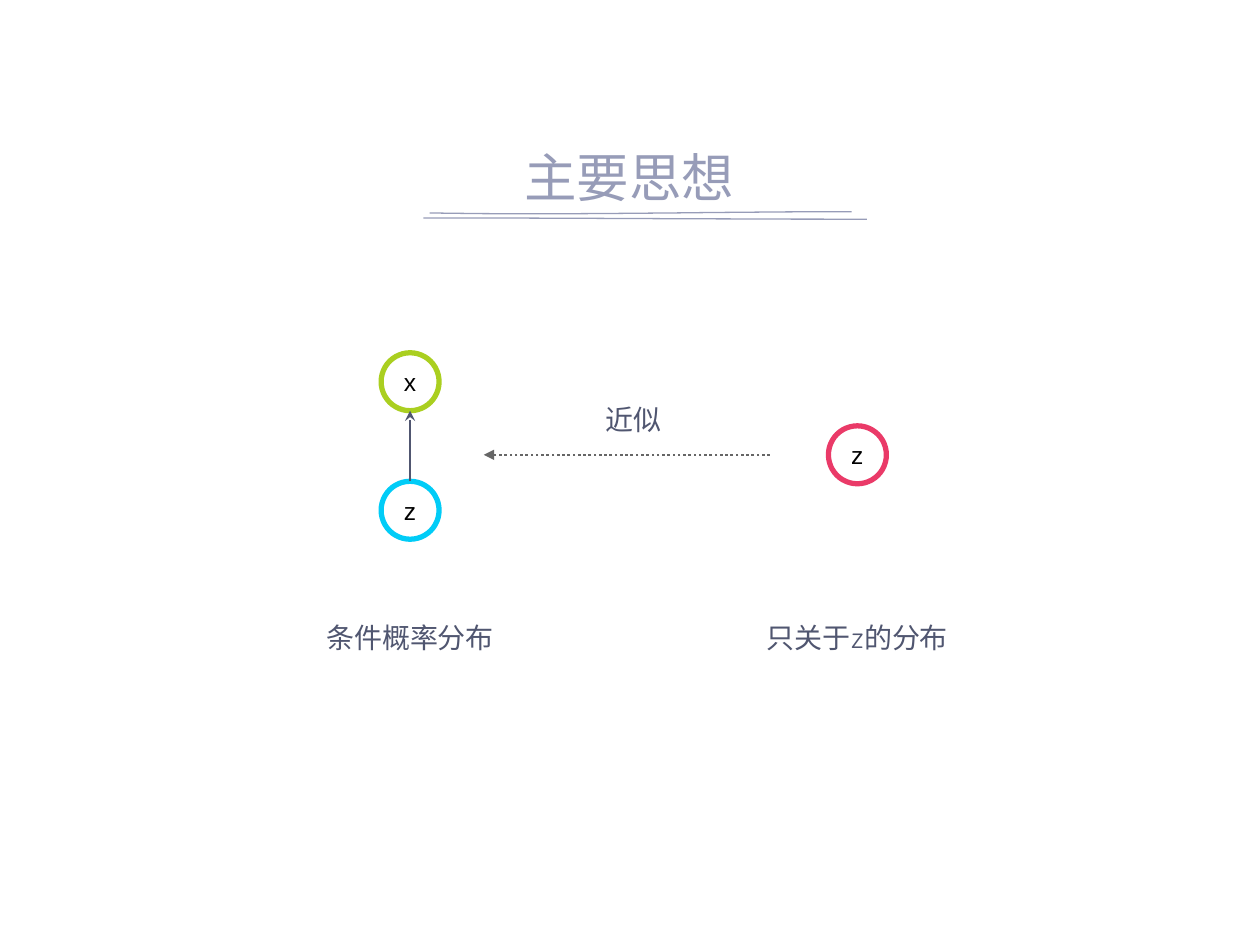
from collections import namedtuple

from lxml import etree
from pptx import Presentation
from pptx import util as u
from pptx.dml.color import RGBColor
from pptx.enum import dml, shapes, text
from pptx.oxml import ns

COLUMNS, ROWS = 1000, 750
CELL = u.Inches(10) // COLUMNS
NODE = 46
LABEL_WIDTH, LABEL_HEIGHT = 191, 31
COLORS = {
    "title": "979CB8",
    "label": "505670",
    "node": "000000",
    "observed": "AACF20",
    "latent": "01CCF7",
    "approximate": "EA3A68",
    "approximation": "666666",
}

Box = namedtuple("Box", "left top width height")


def cells(*values):
    return [u.Emu(round(value * CELL)) for value in values]


def rgb(name):
    return RGBColor.from_string(COLORS[name])


def write(frame, words, size=16, font="Quicksand", color="label",
          anchor=text.MSO_ANCHOR.MIDDLE, wrap=True):
    frame.auto_size = text.MSO_AUTO_SIZE.NONE
    frame.word_wrap = wrap
    frame.vertical_anchor = anchor
    frame.margin_left = frame.margin_right = u.Inches(0.1)
    frame.margin_top = frame.margin_bottom = u.Inches(0.1)
    paragraph = frame.paragraphs[0]
    paragraph.alignment = text.PP_ALIGN.CENTER
    run = paragraph.add_run()
    run.text = words
    run.font.size = u.Pt(size)
    run.font.name = font
    run.font.color.rgb = rgb(color)


def draw_line(line, color, width):
    line.color.rgb = rgb(color)
    line.width = u.Pt(width)


def add_node(parent, center_x, center_y, words, color):
    node = parent.add_shape(
        shapes.MSO_SHAPE.OVAL,
        *cells(center_x - NODE / 2, center_y - NODE / 2, NODE, NODE))
    node.shadow.inherit = False
    node.fill.background()
    draw_line(node.line, color, 3)
    write(node.text_frame, words, size=14, font="Arial", color="node", wrap=False)


def add_arrow(parent, start, end, color, head, dash=None):
    arrow = parent.add_connector(shapes.MSO_CONNECTOR.STRAIGHT, *cells(*start, *end))
    draw_line(arrow.line, color, 1.5)
    if dash:
        arrow.line.dash_style = dash
    tail = etree.SubElement(arrow.line._get_or_add_ln(), ns.qn("a:tailEnd"))
    tail.set("type", head)
    etree.SubElement(arrow._element.spPr, ns.qn("a:effectLst"))


def add_label(slide, center_x, top, words):
    label = slide.shapes.add_textbox(
        *cells(center_x - LABEL_WIDTH / 2, top, LABEL_WIDTH, LABEL_HEIGHT))
    write(label.text_frame, words)


def curve(controls, steps=24):
    for step in range(steps + 1):
        t = step / steps
        weights = ((1 - t) ** 3, 3 * t * (1 - t) ** 2, 3 * t ** 2 * (1 - t), t ** 3)
        yield tuple(sum(w * point[axis] for w, point in zip(weights, controls))
                    for axis in (0, 1))


def add_stroke(slide, left, width, heights):
    controls = [(left + width * i / 3, y) for i, y in enumerate(heights)]
    start, *rest = [cells(*point) for point in curve(controls)]
    builder = slide.shapes.build_freeform(*start)
    builder.add_line_segments(rest, close=False)
    stroke = builder.convert_to_shape()
    stroke.shadow.inherit = False
    stroke.fill.background()
    draw_line(stroke.line, "title", 0.75)


def add_heading(slide, box, words):
    add_stroke(slide, box.left + 229, 335, [box.top + y for y in (94, 96, 93, 93)])
    add_stroke(slide, box.left + 224, 352, [box.top + y for y in (98, 98, 99, 99)])
    title = slide.shapes.title
    title.left, title.top, title.width, title.height = cells(*box)
    write(title.text_frame, words, size=30, font="Arial", color="title",
          anchor=text.MSO_ANCHOR.BOTTOM)


def add_conditional(slide, box):
    center = box.left + box.width / 2
    upper, lower = box.top + NODE / 2, box.top + 125
    pair = slide.shapes.add_group_shape().shapes
    add_node(pair, center, upper, "x", "observed")
    add_node(pair, center, lower, "z", "latent")
    add_arrow(pair, (center, lower - NODE / 2), (center, upper + NODE / 2),
              "label", "stealth")
    add_label(slide, center, box.top + box.height - LABEL_HEIGHT, "条件概率分布")


def add_approximate(slide, box):
    center = box.left + box.width / 2
    add_node(slide.shapes, center, box.top + 81, "z", "approximate")
    add_label(slide, center, box.top + box.height - LABEL_HEIGHT, "只关于z的分布")


def add_approximation(slide, box):
    middle = box.top + box.height
    add_arrow(slide.shapes, (box.left + box.width, middle), (box.left, middle),
              "approximation", "triangle", dml.MSO_LINE.ROUND_DOT)
    add_label(slide, box.left + box.width / 2 + 5, box.top, "近似")


def main():
    deck = Presentation()
    deck.slide_width, deck.slide_height = cells(COLUMNS, ROWS)
    slide = deck.slides.add_slide(deck.slide_layouts[5])
    add_heading(slide, Box(112, 75, 775, 100), "主要思想")
    add_conditional(slide, Box(230, 280, LABEL_WIDTH, 241))
    add_approximation(slide, Box(384, 317, 227, 44))
    add_approximate(slide, Box(585, 280, LABEL_WIDTH, 241))
    deck.save("out.pptx")


if __name__ == "__main__":
    main()
